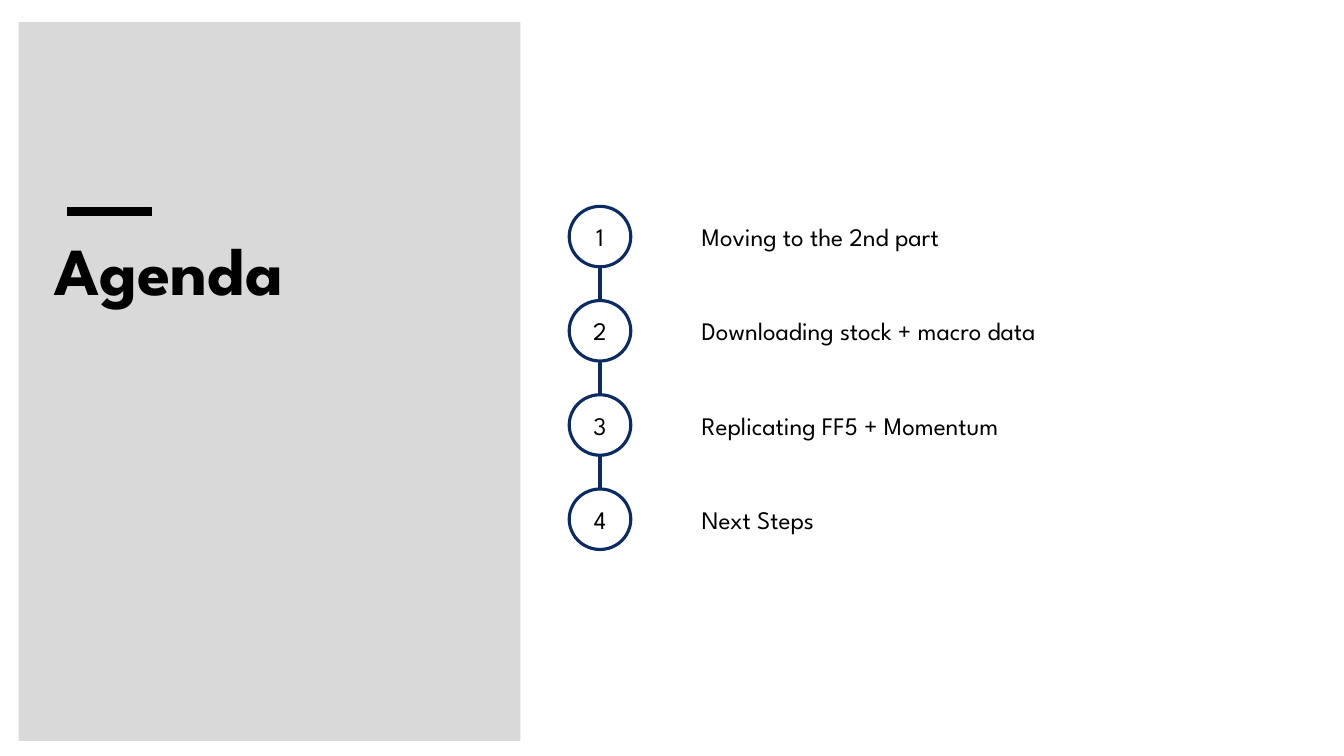
from lxml import etree
from pptx import Presentation
from pptx.dml.color import RGBColor
from pptx.enum.shapes import MSO_CONNECTOR, MSO_SHAPE
from pptx.enum.text import MSO_ANCHOR, PP_ALIGN
from pptx.oxml.ns import qn
from pptx.util import Pt

RECTANGLE, OVAL = MSO_SHAPE.RECTANGLE, MSO_SHAPE.OVAL
STRAIGHT = MSO_CONNECTOR.STRAIGHT
TOP, MIDDLE = MSO_ANCHOR.TOP, MSO_ANCHOR.MIDDLE
LEFT, CENTER = PP_ALIGN.LEFT, PP_ALIGN.CENTER

GREY = RGBColor(0xD9, 0xD9, 0xD9)
BLACK = RGBColor(0, 0, 0)
NAVY = RGBColor(0x0B, 0x2B, 0x65)
FONT = "League Spartan"

TOPICS = [
    "Moving to the 2nd part",
    "Downloading stock + macro data",
    "Replicating FF5 + Momentum",
    "Next Steps",
]
CIRCLE_X, CIRCLE_Y = 406.6, 147.4
CIRCLE_W, CIRCLE_H = 44, 43.2
STEP = 67.3
LABEL_X, LABEL_W, LABEL_H = 494.2, 417.6, 34.6
LINE_WIDTH = 2.25


def write(shape, text, size, bold=False, align=LEFT, anchor=MIDDLE):
    tf = shape.text_frame
    tf.vertical_anchor = anchor
    p = tf.paragraphs[0]
    p.text = text
    p.alignment = align
    p.font.name = FONT
    p.font.size = Pt(size)
    p.font.bold = bold
    p.font.color.rgb = BLACK


def add_text(s, x, y, w, h, text, size, **style):
    box = s.shapes.add_textbox(Pt(x), Pt(y), Pt(w), Pt(h))
    box.text_frame.word_wrap = True
    write(box, text, size, **style)
    return box


def no_margins(shape):
    tf = shape.text_frame
    tf.margin_left = tf.margin_right = tf.margin_top = tf.margin_bottom = 0


def add_bar(s, x, y, w, h, color):
    bar = s.shapes.add_shape(RECTANGLE, Pt(x), Pt(y), Pt(w), Pt(h))
    bar.shadow.inherit = False
    bar.fill.solid()
    bar.fill.fore_color.rgb = color
    bar.line.fill.background()
    return bar


def add_circle(s, y, number):
    circle = s.shapes.add_shape(OVAL, Pt(CIRCLE_X), Pt(y), Pt(CIRCLE_W), Pt(CIRCLE_H))
    circle.shadow.inherit = False
    circle.fill.background()
    circle.line.color.rgb = NAVY
    circle.line.width = Pt(LINE_WIDTH)
    no_margins(circle)
    write(circle, str(number), 18, align=CENTER)


def add_link(s, y):
    """Join the circle whose top is at y to the next one down."""
    x = Pt(CIRCLE_X + CIRCLE_W / 2)
    link = s.shapes.add_connector(STRAIGHT, x, Pt(y + CIRCLE_H), x, Pt(y + STEP))
    link.line.color.rgb = NAVY
    link.line.width = Pt(LINE_WIDTH)
    etree.SubElement(link._element.spPr, qn("a:effectLst"))


def main():
    prs = Presentation()
    prs.slide_width, prs.slide_height = Pt(960), Pt(540)
    s = prs.slides.add_slide(prs.slide_layouts[6])

    add_bar(s, 13.4, 15.8, 358.4, 513.4, GREY)
    title = add_text(s, 38.9, 163, 204.5, 49, "Agenda", 48, bold=True, anchor=TOP)
    no_margins(title)
    accent = add_bar(s, 48.2, 148.3, 60.2, 5.8, BLACK)
    accent.line.color.rgb = BLACK
    accent.line.width = Pt(1)

    for i, topic in enumerate(TOPICS):
        y = CIRCLE_Y + i * STEP
        add_circle(s, y, i + 1)
        add_text(s, LABEL_X, y + (CIRCLE_H - LABEL_H) / 2, LABEL_W, LABEL_H, topic, 18)
        if i < len(TOPICS) - 1:
            add_link(s, y)

    prs.save("out.pptx")


if __name__ == "__main__":
    main()
